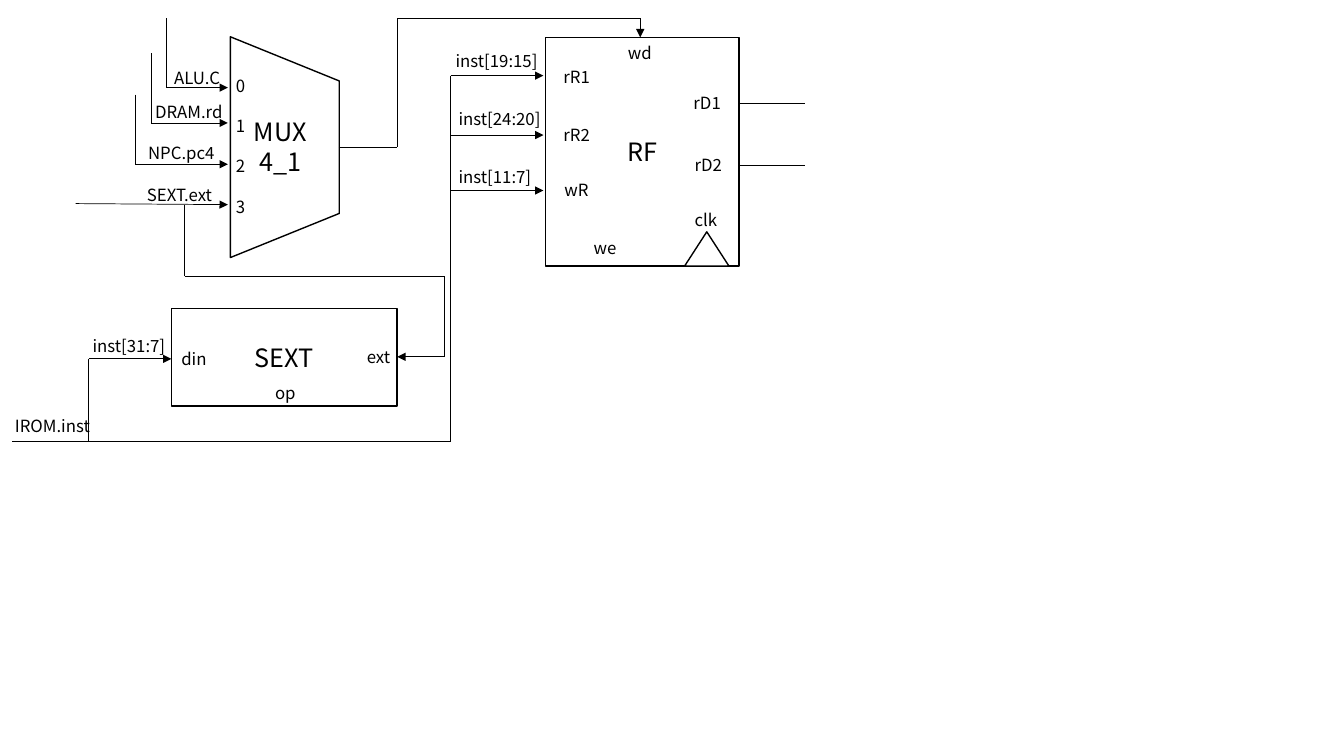
"""Draw the write-back datapath of a register file, a sign extender and a mux."""

from dataclasses import dataclass
from itertools import pairwise

from lxml.etree import SubElement
from pptx import Presentation
from pptx.dml.color import RGBColor
from pptx.enum.shapes import MSO_CONNECTOR, MSO_SHAPE
from pptx.enum.text import MSO_ANCHOR, PP_ALIGN
from pptx.oxml.ns import qn
from pptx.shapes.shapetree import SlideShapes
from pptx.text.text import TextFrame
from pptx.util import Inches, Pt


@dataclass(frozen=True)
class Theme:
    """Hold the colours, font, type sizes and line widths."""

    ink: RGBColor = RGBColor(0, 0, 0)
    paper: RGBColor = RGBColor(255, 255, 255)
    font: str = "Noto Sans CJK SC"
    title: Pt = Pt(18)
    label: Pt = Pt(12)
    edge: Pt = Pt(1)
    wire: Pt = Pt(0.5)


@dataclass(frozen=True)
class Block:
    """Describe an outlined part of the circuit."""

    kind: MSO_SHAPE
    left: float
    top: float
    width: float
    height: float
    name: str = ""
    turn: int = 0


@dataclass(frozen=True)
class Label:
    """Describe a piece of free text."""

    text: str
    left: float
    top: float
    width: float = 0.56
    height: float = 0.3
    size: Pt = Theme.label
    align: PP_ALIGN = PP_ALIGN.LEFT
    gap: Pt = Pt(0)


@dataclass(frozen=True)
class Wire:
    """Describe a wire by its corners."""

    points: tuple[tuple[float, float], ...]
    arrow: bool = False


THEME = Theme()
BUS, BASE = 4.47, 4.38
MUX_IN, RF_IN = 2.26, 5.39
RISE = 0.69

BLOCKS = [
    Block(MSO_SHAPE.RECTANGLE, 1.7, 3.06, 2.24, 0.97, "SEXT"),
    Block(MSO_SHAPE.FLOWCHART_MANUAL_OPERATION, 1.73, 0.92, 2.19, 1.08, turn=270),
    Block(MSO_SHAPE.RECTANGLE, 5.41, 0.37, 1.92, 2.27, "RF"),
    Block(MSO_SHAPE.ISOSCELES_TRIANGLE, 6.79, 2.3, 0.44, 0.34),
]

LABELS = [
    Label("din", 1.7, 3.41),
    Label("ext", 3.54, 3.39),
    Label("op", 2.63, 3.75),
    Label("clk", 6.79, 2.03),
    Label("we", 5.79, 2.31),
    Label("wR", 5.5, 1.73),
    Label("rR2", 5.49, 1.19),
    Label("rR1", 5.49, 0.61),
    Label("wd", 6.13, 0.37),
    Label("rD1", 6.78, 0.87),
    Label("rD2", 6.79, 1.49),
    Label("MUX\n4_1", 2.33, 1.1, 0.9, 0.71, THEME.title, PP_ALIGN.CENTER),
    Label("0\n1\n2\n3", 2.24, 0.7, 0.35, 1.51, gap=Pt(14.4)),
    Label("ALU.C", 1.63, 0.62, 1),
    Label("DRAM.rd", 1.44, 0.96, 1),
    Label("NPC.pc4", 1.37, 1.37, 1),
    Label("SEXT.ext", 1.36, 1.78, 1),
    Label("inst[31:7]", 0.82, 3.28, 1.2),
    Label("inst[19:15]", 4.42, 0.45, 1.2),
    Label("inst[24:20]", 4.45, 1.03, 1.2),
    Label("inst[11:7]", 4.45, 1.61, 1.2),
    Label("IROM.inst", 0.05, 4.08, 1.2),
]

WIRES = [
    *(
        Wire(((x, y - RISE), (x, y), (MUX_IN, y)), True)
        for x, y in ((1.65, 0.87), (1.5, 1.22), (1.34, 1.63))
    ),
    Wire(((0.75, 2.02), (MUX_IN, 2.03)), True),
    Wire(((1.83, 2.03), (1.83, 2.74), (4.41, 2.74), (4.41, 3.54), (3.94, 3.54)), True),
    *(Wire(((BUS, y), (RF_IN, y)), True) for y in (0.75, 1.34, 1.89)),
    Wire(((BUS, 0.75), (BUS, BASE), (0.12, BASE))),
    Wire(((0.88, BASE), (0.88, 3.56), (1.7, 3.56)), True),
    Wire(((3.36, 1.46), (3.94, 1.46), (3.94, 0.18), (6.35, 0.18), (6.35, 0.37)), True),
    *(Wire(((7.33, y), (7.98, y))) for y in (1.03, 1.64)),
]


def write(frame: TextFrame, text: str, size: Pt, align: PP_ALIGN, gap: Pt = Pt(0)) -> None:
    """Fill a frame with text in the theme's font."""
    frame.word_wrap = True
    frame.text = text
    for row, line in enumerate(frame.paragraphs):
        line.alignment = align
        if row and gap:
            line.space_before = gap
        line.font.name = THEME.font
        line.font.size = size
        line.font.color.rgb = THEME.ink


def add_block(shapes: SlideShapes, block: Block) -> None:
    """Draw one outlined part with its name in the middle."""
    box = map(Inches, (block.left, block.top, block.width, block.height))
    shape = shapes.add_shape(block.kind, *box)
    shape.rotation = block.turn
    shape.shadow.inherit = False
    shape.fill.solid()
    shape.fill.fore_color.rgb = THEME.paper
    shape.line.color.rgb = THEME.ink
    shape.line.width = THEME.edge
    if block.name:
        shape.text_frame.vertical_anchor = MSO_ANCHOR.MIDDLE
        write(shape.text_frame, block.name, THEME.title, PP_ALIGN.CENTER)


def add_label(shapes: SlideShapes, label: Label) -> None:
    """Place one piece of free text."""
    box = map(Inches, (label.left, label.top, label.width, label.height))
    frame = shapes.add_textbox(*box).text_frame
    write(frame, label.text, label.size, label.align, label.gap)


def add_wire(shapes: SlideShapes, wire: Wire) -> None:
    """Draw a wire as straight legs, with any arrowhead on the last."""
    for start, end in pairwise(wire.points):
        leg = shapes.add_connector(MSO_CONNECTOR.STRAIGHT, *map(Inches, start + end))
        leg.line.color.rgb = THEME.ink
        leg.line.width = THEME.wire
        props = leg.element.spPr
        if wire.arrow and end == wire.points[-1]:
            SubElement(props.find(qn("a:ln")), qn("a:tailEnd"), type="triangle")
        SubElement(props, qn("a:effectLst"))


def main() -> None:
    """Build the slide and save it."""
    deck = Presentation()
    deck.slide_width, deck.slide_height = Inches(13.33), Inches(7.5)
    shapes = deck.slides.add_slide(deck.slide_layouts[6]).shapes
    for block in BLOCKS:
        add_block(shapes, block)
    for label in LABELS:
        add_label(shapes, label)
    for wire in WIRES:
        add_wire(shapes, wire)
    deck.save("out.pptx")


if __name__ == "__main__":
    main()
